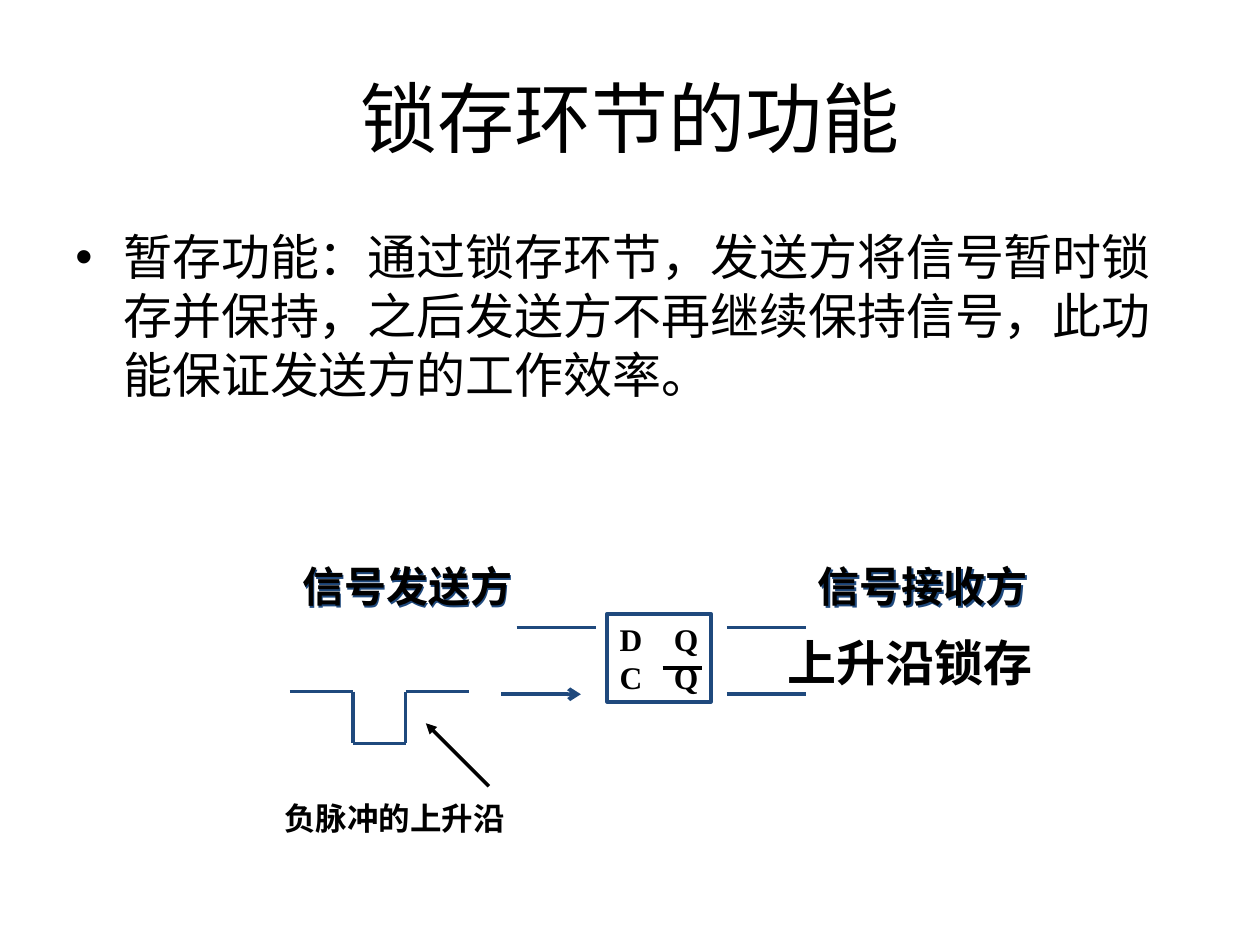
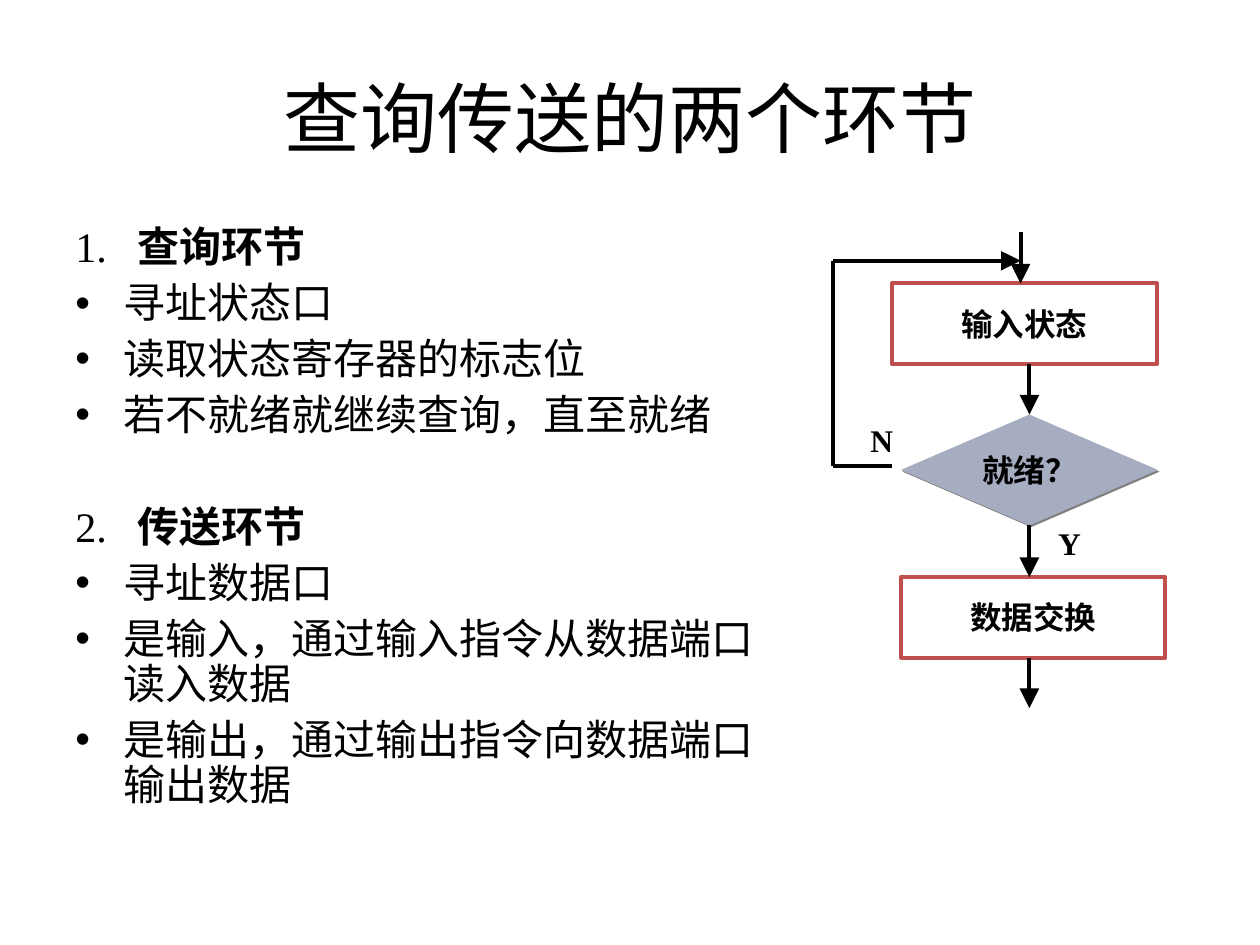
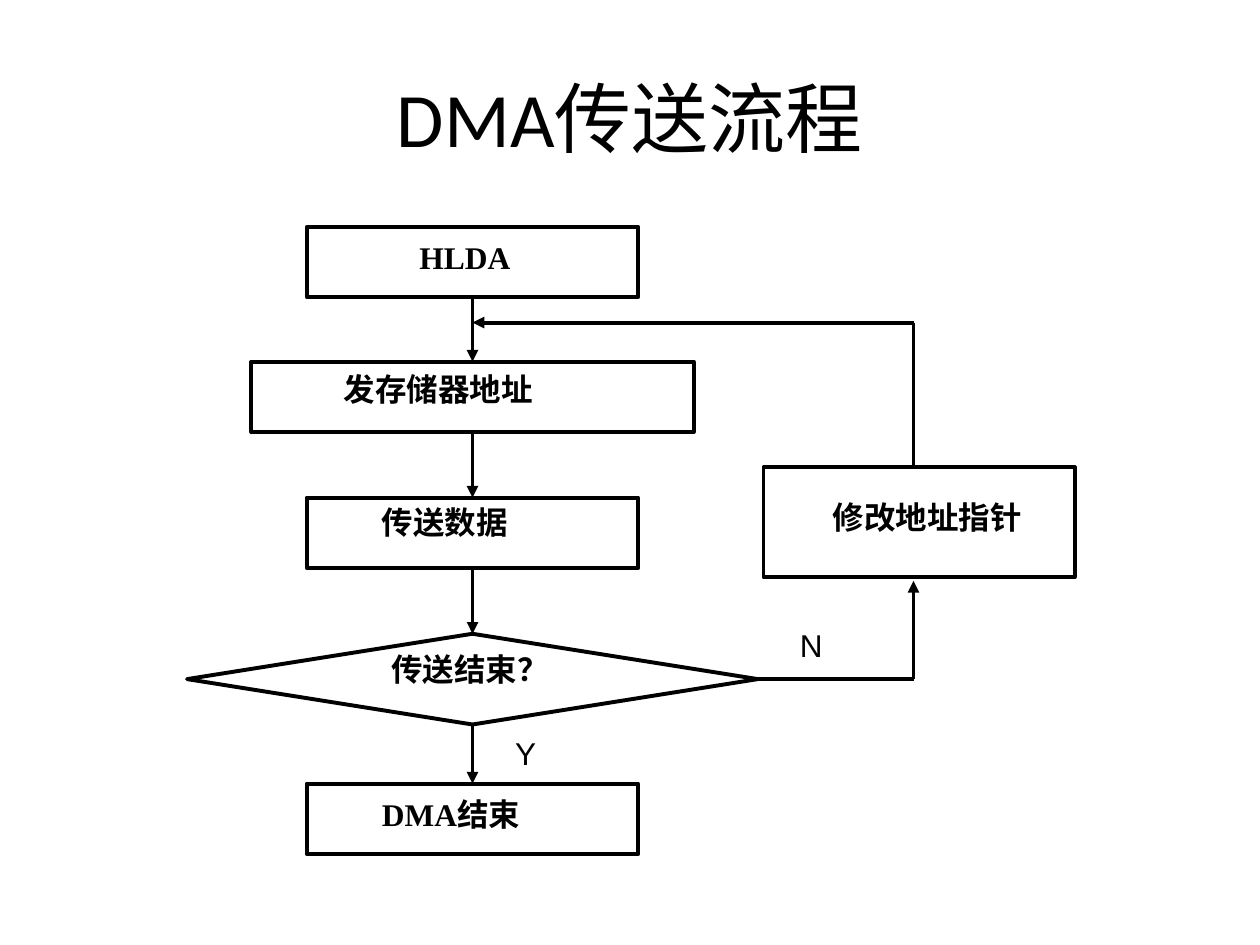
"""Build three slides on latching, polled transfer and the DMA flow."""
from itertools import pairwise

from lxml.etree import SubElement
from pptx import Presentation
from pptx.dml.color import RGBColor
from pptx.enum.shapes import MSO_CONNECTOR, MSO_SHAPE
from pptx.enum.text import MSO_ANCHOR, MSO_AUTO_SIZE, PP_ALIGN
from pptx.oxml.ns import qn
from pptx.util import Inches, Pt

BLACK = RGBColor(0x00, 0x00, 0x00)
NAVY = RGBColor(0x1F, 0x49, 0x7D)
RED = RGBColor(0xC0, 0x50, 0x4D)
STEEL = RGBColor(0xA6, 0xAD, 0xC0)
GREY = RGBColor(0x80, 0x80, 0x80)
SERIF = "Times New Roman"
SANS = "Arial"
MAIN = "Calibri"
TOP, RIGHT, BOTTOM = 0, 3, 2


class Deck:
    def __init__(self):
        self.prs = Presentation()
        self.prs.slide_width, self.prs.slide_height = Inches(10), Inches(7.5)

    def open(self, title):
        self.slide = self.prs.slides.add_slide(self.prs.slide_layouts[5])
        self.shapes = self.slide.shapes
        head = self.shapes.title
        head.left, head.top, head.width, head.height = map(Inches, (0.5, 0.3, 9, 1.25))
        head.text_frame.vertical_anchor = MSO_ANCHOR.MIDDLE
        para = head.text_frame.paragraphs[0]
        para.alignment = PP_ALIGN.CENTER
        self.run(para, title, size=44, name=MAIN, bold=False)

    def run(self, para, text, size=18, name=SERIF, bold=True):
        run = para.add_run()
        run.text = text
        for key, value in {"size": Pt(size), "name": name, "bold": bold}.items():
            setattr(run.font, key, value)
        run.font.color.rgb = BLACK

    def fill(self, shape, lines, align, **font):
        frame = shape.text_frame
        for num, text in enumerate(lines):
            para = frame.add_paragraph() if num else frame.paragraphs[0]
            para.alignment = align
            self.run(para, text, **font)
        return frame

    def label(self, text, box, align=PP_ALIGN.CENTER, wrap=False,
              anchor=MSO_ANCHOR.TOP, glow=None, **font):
        shape = self.shapes.add_textbox(*map(Inches, box))
        frame = self.fill(shape, [text], align, **font)
        style = {"word_wrap": wrap, "vertical_anchor": anchor,
                 "auto_size": MSO_AUTO_SIZE.SHAPE_TO_FIT_TEXT}
        for key, value in style.items():
            setattr(frame, key, value)
        if glow:
            self.shade(shape, glow)

    def shade(self, shape, color):
        shape.shadow.inherit = False
        effect = shape._element.spPr.find(qn("a:effectLst"))
        shadow = SubElement(effect, qn("a:outerShdw"), dist=str(Pt(1.4)), dir="2700000")
        SubElement(shadow, qn("a:srgbClr"), val=str(color))

    def block(self, box, text="", line=BLACK, kind=MSO_SHAPE.RECTANGLE, fill=None):
        shape = self.shapes.add_shape(kind, *map(Inches, box))
        shape.shadow.inherit = False
        if fill:
            shape.fill.solid()
            shape.fill.fore_color.rgb = fill
        else:
            shape.fill.background()
        if line:
            shape.line.color.rgb = line
            shape.line.width = Pt(2.25)
        else:
            shape.line.fill.background()
        if text:
            frame = self.fill(shape, [text], PP_ALIGN.CENTER)
            frame.word_wrap = False
            frame.vertical_anchor = MSO_ANCHOR.MIDDLE
        return shape

    def trace(self, *points, color=BLACK, width=2.25, tip=None, size="med",
              start=None, end=None):
        links = []
        for first, last in pairwise(points):
            link = self.shapes.add_connector(
                MSO_CONNECTOR.STRAIGHT, *map(Inches, (*first, *last)))
            link.line.color.rgb = color
            link.line.width = Pt(width)
            SubElement(link._element.spPr, qn("a:effectLst"))
            links.append(link)
        if tip:
            SubElement(links[-1].line._get_or_add_ln(), qn("a:tailEnd"),
                       type=tip, w=size, len=size)
        if start:
            links[0].begin_connect(*start)
        if end:
            links[-1].end_connect(*end)

    def body(self, box, items, size, name, gap=0, space=None):
        frame = self.shapes.add_textbox(*map(Inches, box)).text_frame
        frame.word_wrap = True
        for num, (mark, text, extra) in enumerate(items):
            para = frame.add_paragraph() if num else frame.paragraphs[0]
            dent = Inches(0.49 if mark else 0.38)
            props = para._p.get_or_add_pPr()
            props.set("marL", str(dent))
            props.set("indent", str(-dent))
            if mark:
                SubElement(props, qn("a:buNone"))
                self.run(para, mark + "\t", size, name, False)
            else:
                SubElement(props, qn("a:buFont"), typeface=SANS)
                SubElement(props, qn("a:buChar"), char="•")
            para.line_spacing = space
            para.space_before = Pt(gap + extra if num else 0)
            self.run(para, text, size, name, bool(mark))


def latch(deck):
    deck.open("锁存环节的功能")
    deck.body((0.5, 1.75, 9, 2.79), [(
        "", "暂存功能：通过锁存环节，发送方将信号暂时锁存并保持，"
        "之后发送方不再继续保持信号，此功能保证发送方的工作效率。", 0)], 28, MAIN)

    chip = deck.block((4.82, 4.87, 0.82, 0.7), line=NAVY)
    frame = deck.fill(chip, ["D\tQ", "C\tQ"], PP_ALIGN.LEFT)
    frame.margin_right = 0
    frame.vertical_anchor = MSO_ANCHOR.MIDDLE
    for para in frame.paragraphs:
        tabs = SubElement(para._p.get_or_add_pPr(), qn("a:tabLst"))
        SubElement(tabs, qn("a:tab"), pos=str(Inches(0.43)), algn="l")
    deck.trace((5.26, 5.3), (5.57, 5.3))

    for left, y, tip in ((5.77, 4.98, None), (5.77, 5.51, None),
                         (3.98, 5.51, "arrow"), (4.1, 4.98, None)):
        deck.trace((left, y), (left + 0.63, y), color=NAVY, tip=tip)
    deck.trace((2.3, 5.49), (2.8, 5.49), (2.8, 5.9), (3.22, 5.9),
               (3.22, 5.49), (3.72, 5.49), color=NAVY, width=2)
    deck.trace((3.88, 6.24), (3.38, 5.74), width=2, tip="triangle")

    deck.label("上升沿锁存", (6.07, 4.97, 2.3, 0.57), anchor=MSO_ANCHOR.MIDDLE, size=28)
    deck.label("负脉冲的上升沿", (2.08, 6.29, 2.1, 0.4), anchor=MSO_ANCHOR.MIDDLE)
    for text, left in (("信号发送方", 2.3), ("信号接收方", 6.39)):
        deck.label(text, (left, 4.4, 2.1, 0.5), PP_ALIGN.LEFT, wrap=True, glow=NAVY,
                   size=24, name=SANS)


def poll(deck):
    deck.open("查询传送的两个环节")
    deck.body((0.5, 1.75, 5.75, 5.13), [
        ("1.", "查询环节", 0),
        ("", "寻址状态口", 0),
        ("", "读取状态寄存器的标志位", 0),
        ("", "若不就绪就继续查询，直至就绪", 0),
        ("2.", "传送环节", 32),
        ("", "寻址数据口", 0),
        ("", "是输入，通过输入指令从数据端口读入数据", 0),
        ("", "是输出，通过输出指令向数据端口输出数据", 0),
    ], 24, SERIF, gap=6, space=0.9)

    deck.block((7.08, 2.25, 2.1, 0.64), "输入状态", RED)
    test = deck.block((7.15, 3.29, 2.04, 0.88), "就绪？", None, MSO_SHAPE.DIAMOND, STEEL)
    deck.shade(test, GREY)
    deck.block((7.15, 4.58, 2.1, 0.64), "数据交换", RED)

    axis = 8.17
    arrow = {"tip": "triangle", "size": "lg"}
    deck.trace((8.1, 1.84), (8.1, 2.25), **arrow)
    deck.trace((axis, 2.89), (axis, 3.29), end=(test, TOP), **arrow)
    deck.trace((axis, 4.17), (axis, 4.58), start=(test, BOTTOM), **arrow)
    deck.trace((axis, 5.22), (axis, 5.62), **arrow)
    deck.trace((7.08, 3.7), (6.61, 3.7), (6.61, 2.07), (8.1, 2.07), **arrow)
    for text, left, top in (("Y", 8.3, 4.11), ("N", 6.81, 3.29)):
        deck.label(text, (left, top, 0.68, 0.4), PP_ALIGN.LEFT, wrap=True)


def flow(deck):
    deck.open("DMA传送流程")
    axis, turn = 3.75, 7.25
    steps = []
    for top, width, high, kind in (
            (1.8, 2.63, 0.56, MSO_SHAPE.RECTANGLE),
            (2.87, 3.51, 0.56, MSO_SHAPE.RECTANGLE),
            (3.95, 2.63, 0.56, MSO_SHAPE.RECTANGLE),
            (5.03, 4.53, 0.72, MSO_SHAPE.FLOWCHART_DECISION),
            (6.22, 2.63, 0.56, MSO_SHAPE.RECTANGLE)):
        steps.append(deck.block((axis - width / 2, top, width, high), kind=kind))
    deck.block((6.06, 3.71, 2.47, 0.87))

    for text, center, top in (
            ("HLDA", 3.69, 1.84), ("发存储器地址", 3.48, 2.89),
            ("传送数据", 3.53, 3.94), ("传送结束？", 3.73, 5.11),
            ("DMA结束", 3.58, 6.26), ("修改地址指针", 7.36, 3.9)):
        deck.label(text, (center - 1, top, 2, 0.4), wrap=True)

    for first, last in pairwise(steps):
        deck.trace((axis, 2), (axis, 3), tip="triangle",
                   start=(first, BOTTOM), end=(last, TOP))
    deck.trace((6.01, 5.39), (turn, 5.39), (turn, 4.61), tip="triangle",
               start=(steps[3], RIGHT))
    deck.trace((turn, 3.7), (turn, 2.56), (axis, 2.56), tip="triangle")
    for text, left, top in (("Y", 3.99, 5.78), ("N", 6.25, 4.92)):
        deck.label(text, (left, top, 0.45, 0.4), PP_ALIGN.LEFT, wrap=True,
                   name=SANS, bold=False)


def main():
    deck = Deck()
    for build in (latch, poll, flow):
        build(deck)
    deck.prs.save("out.pptx")


if __name__ == "__main__":
    main()
